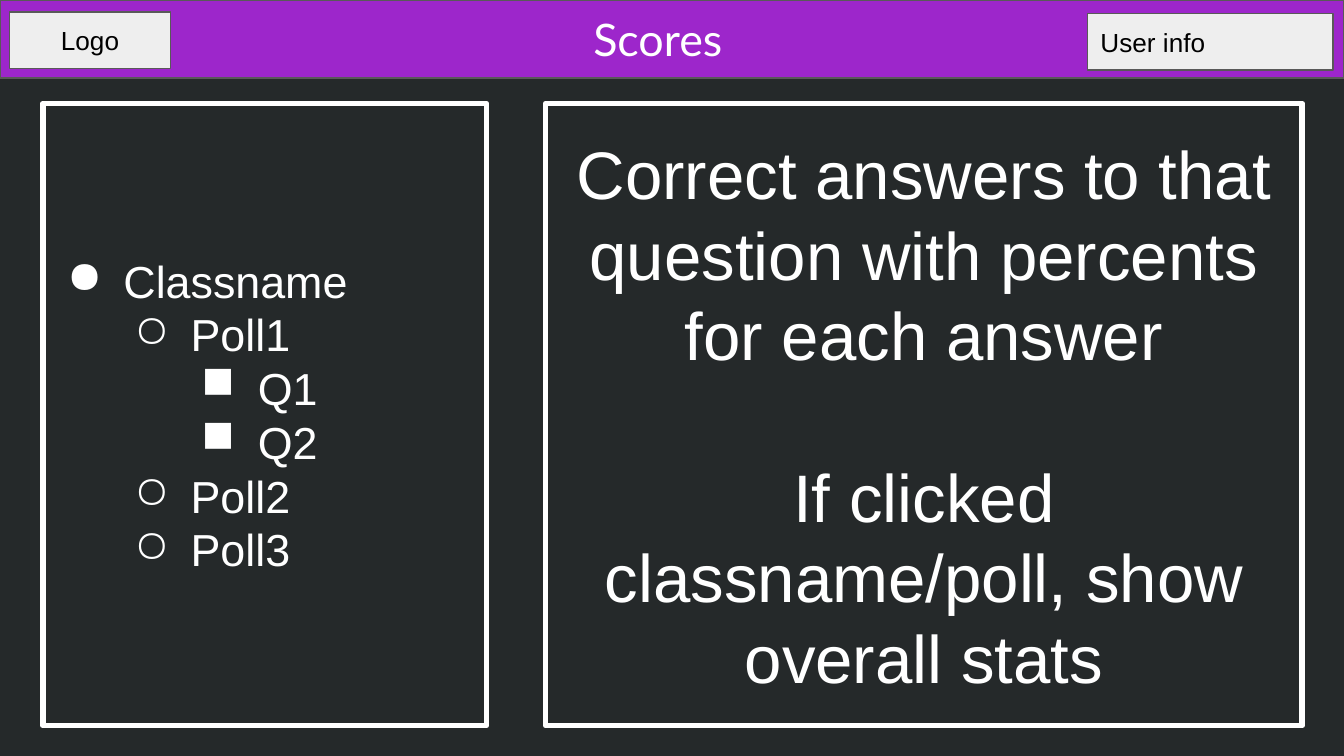
from dataclasses import dataclass
from typing import NamedTuple, Optional

from lxml.etree import SubElement
from pptx import Presentation
from pptx.dml.color import RGBColor
from pptx.enum.shapes import MSO_SHAPE
from pptx.enum.text import MSO_ANCHOR, PP_ALIGN
from pptx.oxml.ns import qn
from pptx.util import Pt


@dataclass(frozen=True)
class Theme:
    background: str = "25292A"
    banner: str = "9D26CB"
    button: str = "EEEEEE"
    border: str = "595959"
    light: str = "FFFFFF"
    dark: str = "000000"
    body_font: str = "Arial"
    title_font: str = "Lato"
    message_size: float = 36
    heading_size: float = 24
    label_size: float = 14
    leading: float = 1.2
    inset: float = 7.2
    level_step: float = 36
    bullet_hang: float = 30.24
    bullets: str = "●○■"


class Box(NamedTuple):
    left: float
    top: float
    width: float
    height: float


class Entry(NamedTuple):
    text: str
    level: Optional[int] = None  # outline depth; None means no bullet


THEME = Theme()


def color(value: str) -> RGBColor:
    return RGBColor.from_string(value)


def add_box(slide, box: Box, *, fill: Optional[str] = None,
            line: str = THEME.border, weight: float = 0.75):
    """Draw a flat rectangle with rounded line joins."""
    shape = slide.shapes.add_shape(MSO_SHAPE.RECTANGLE, *map(Pt, box))
    shape.shadow.inherit = False
    if fill:
        shape.fill.solid()
        shape.fill.fore_color.rgb = color(fill)
    else:
        shape.fill.background()
    shape.line.color.rgb = color(line)
    shape.line.width = Pt(weight)
    SubElement(shape.line._get_or_add_ln(), qn("a:round"))
    return shape


def add_bullet(paragraph, level: int, bullet_color: str) -> None:
    paragraph.level = level
    properties = paragraph._p.get_or_add_pPr()
    properties.set("marL", str(Pt(THEME.level_step * (level + 1))))
    properties.set("indent", str(-Pt(THEME.bullet_hang)))
    tint = SubElement(properties, qn("a:buClr"))
    SubElement(tint, qn("a:srgbClr"), val=bullet_color)
    SubElement(properties, qn("a:buChar"), char=THEME.bullets[level])


def write(shape, *entries: Entry, size: float, ink: str = THEME.light,
          font: str = THEME.body_font, align=PP_ALIGN.CENTER,
          leading: Optional[float] = None, gap: float = 0) -> None:
    """Fill a shape with formatted paragraphs, separated by gap."""
    frame = shape.text_frame
    frame.word_wrap = True
    frame.vertical_anchor = MSO_ANCHOR.MIDDLE
    frame.margin_left = frame.margin_right = Pt(THEME.inset)
    frame.margin_top = frame.margin_bottom = Pt(THEME.inset)
    for index, entry in enumerate(entries):
        paragraph = frame.add_paragraph() if index else frame.paragraphs[0]
        paragraph.alignment = align
        if leading:
            paragraph.line_spacing = Pt(size * leading)
        if index and gap:
            paragraph.space_before = Pt(gap)
        if entry.level is not None:
            add_bullet(paragraph, entry.level, ink)
        run = paragraph.add_run()
        run.text = entry.text
        run.font.size = Pt(size)
        run.font.name = font
        run.font.color.rgb = color(ink)


def add_panel(slide, left: float, width: float):
    """Draw one of the two outlined content panels."""
    return add_box(slide, Box(left, 55.44, width, 333.36), line=THEME.light, weight=3)


def add_button(slide, box: Box, label: str, align=PP_ALIGN.CENTER) -> None:
    button = add_box(slide, box, fill=THEME.button)
    write(button, Entry(label), size=THEME.label_size, ink=THEME.dark, align=align)


def main() -> None:
    presentation = Presentation()
    presentation.slide_width = Pt(720)
    presentation.slide_height = Pt(405)
    slide = presentation.slides.add_slide(presentation.slide_layouts[6])
    slide.background.fill.solid()
    slide.background.fill.fore_color.rgb = color(THEME.background)

    # Answer statistics
    answers = add_panel(slide, 292.32, 405.36)
    write(answers,
          Entry("Correct answers to that question with percents for each answer"),
          Entry("If clicked classname/poll, show overall stats"),
          size=THEME.message_size, leading=THEME.leading,
          gap=THEME.message_size * THEME.leading)

    # Outline of classes, polls and questions
    outline = add_panel(slide, 23.04, 237.6)
    write(outline,
          Entry("Classname", 0), Entry("Poll1", 1), Entry("Q1", 2),
          Entry("Q2", 2), Entry("Poll2", 1), Entry("Poll3", 1),
          size=THEME.heading_size, align=PP_ALIGN.LEFT, leading=THEME.leading)

    # Banner with title and buttons
    add_box(slide, Box(0, 0, 720, 41.76), fill=THEME.banner)
    title = slide.shapes.add_textbox(*map(Pt, Box(241.92, 0, 221.04, 41.76)))
    write(title, Entry("Scores"), size=THEME.heading_size, font=THEME.title_font)
    add_button(slide, Box(5.04, 6.48, 86.4, 30.24), "Logo")
    add_button(slide, Box(582.48, 7.2, 131.76, 30.24), "User info", PP_ALIGN.LEFT)

    presentation.save("out.pptx")


if __name__ == "__main__":
    main()
